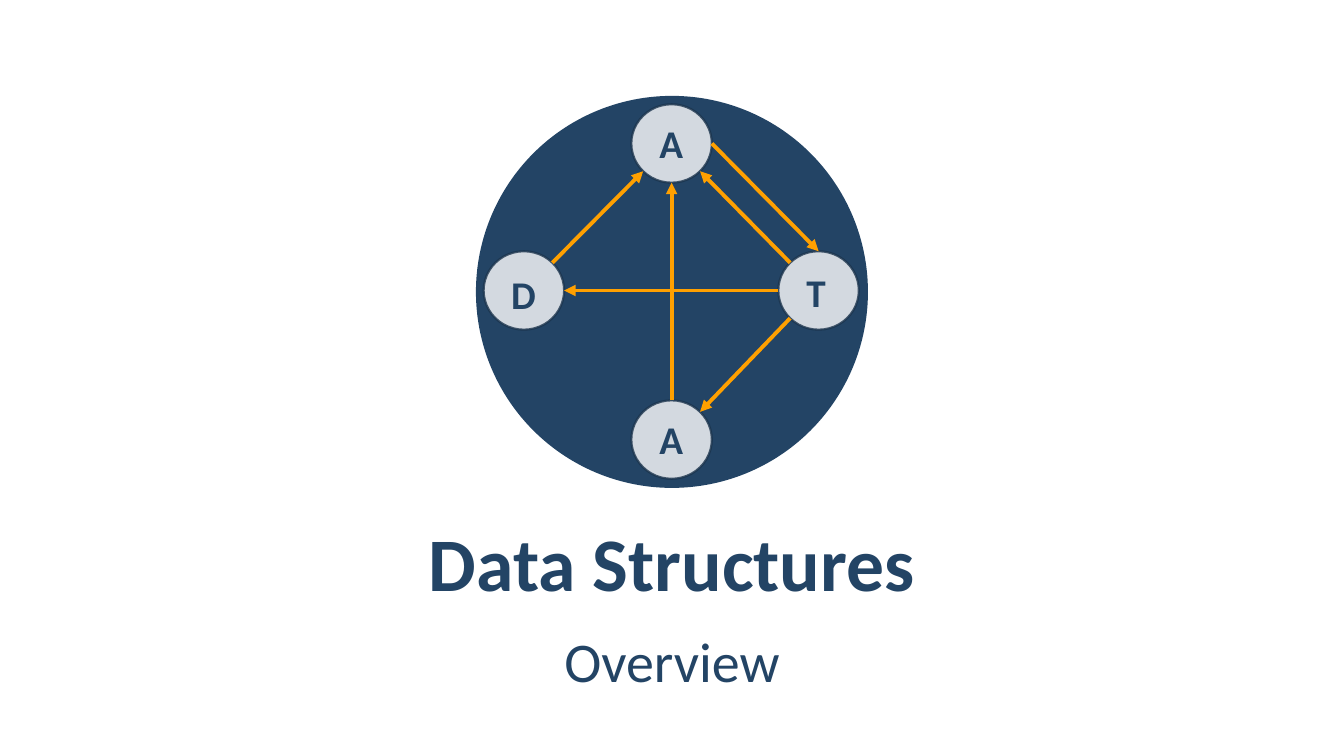
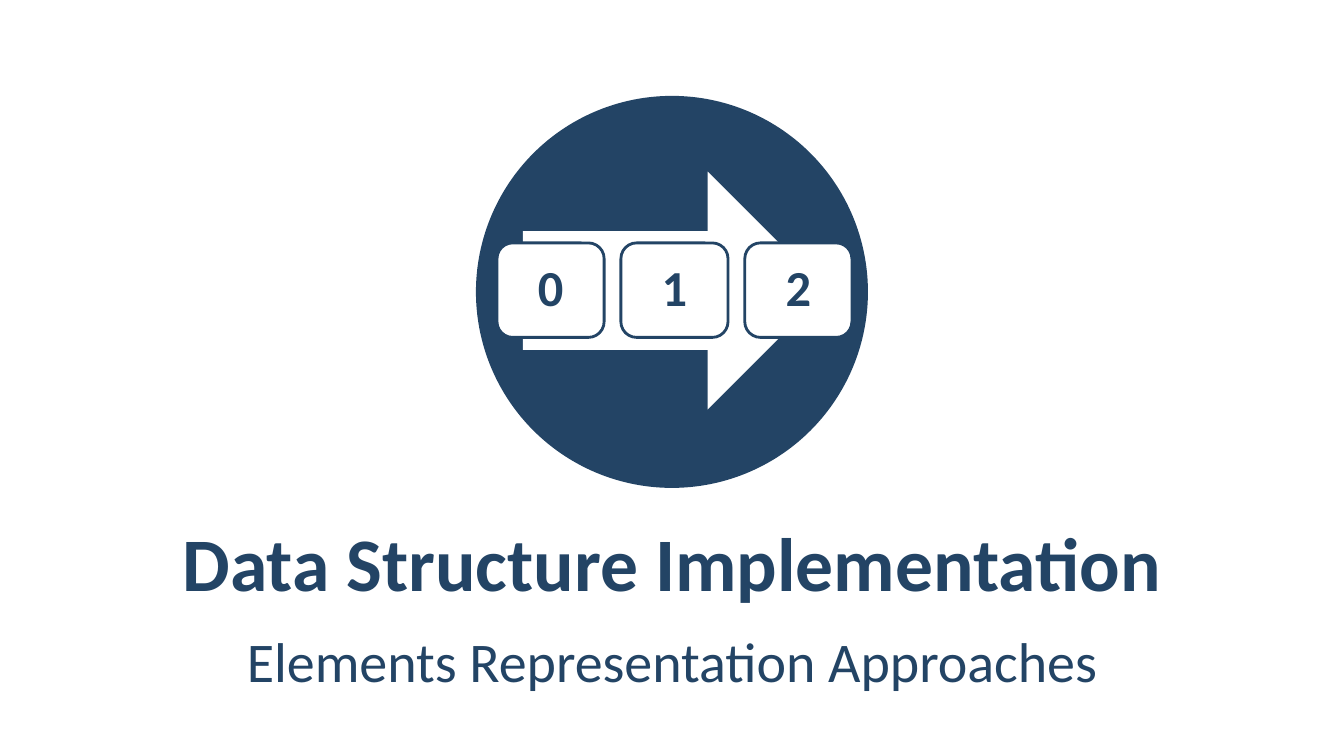
from math import cos, radians, sin

from lxml.etree import SubElement
from pptx import Presentation
from pptx.dml.color import RGBColor
from pptx.enum.shapes import MSO_CONNECTOR, MSO_SHAPE
from pptx.enum.text import MSO_ANCHOR, PP_ALIGN
from pptx.oxml.ns import qn
from pptx.util import Pt

COLORS = {"navy": "234465", "outline": "1A334C", "white": "FFFFFF", "amber": "FFA000"}
FONT = "Calibri"


def add_shape(page, kind, left, top, width, height, fill, line=None, line_width=1.5):
    shape = page.shapes.add_shape(kind, Pt(left), Pt(top), Pt(width), Pt(height))
    shape.shadow.inherit = False
    shape.fill.solid()
    shape.fill.fore_color.rgb = RGBColor.from_string(COLORS[fill])
    if line:
        shape.line.color.rgb = RGBColor.from_string(COLORS[line])
        shape.line.width = Pt(line_width)
    else:
        shape.line.fill.background()
    return shape


def set_text(box, text, size, bold=True, align=PP_ALIGN.CENTER, spacing=1.0,
             insets=(8.5, 3), wrap=True, anchor=MSO_ANCHOR.MIDDLE):
    """Fill box with one navy paragraph; insets are (sides, top and bottom)."""
    frame = box.text_frame
    frame.word_wrap = wrap
    frame.vertical_anchor = anchor
    frame.margin_left = frame.margin_right = Pt(insets[0])
    frame.margin_top = frame.margin_bottom = Pt(insets[1])
    para = frame.paragraphs[0]
    para.text = text
    para.alignment = align
    para.line_spacing = spacing
    para.font.name = FONT
    para.font.size = Pt(size)
    para.font.bold = bold
    para.font.color.rgb = RGBColor.from_string(COLORS["navy"])
    return para


deck = Presentation()
deck.slide_width, deck.slide_height = Pt(960), Pt(540)

# Shared frame: emblem circle, title, subtitle
pages = []
for title, subtitle in [
    ("Data Structures", "Overview"),
    ("Data Structure Implementation", "Elements Representation Approaches"),
]:
    page = deck.slides.add_slide(deck.slide_layouts[6])
    add_shape(page, MSO_SHAPE.OVAL, 340, 68.5, 280, 280, "navy")
    title_box = page.shapes.add_textbox(Pt(48), Pt(371), Pt(864), Pt(60))
    set_text(title_box, title, 54)
    subtitle_box = page.shapes.add_textbox(Pt(48), Pt(440), Pt(864), Pt(60))
    para = set_text(subtitle_box, subtitle, 40, bold=False, spacing=1.05)
    para.space_before = para.space_after = Pt(6)
    pages.append(page)
graph_page, array_page = pages

# Graph of four nodes: letter, left, top, and the label's offset from the node
NODE_WIDTH, NODE_HEIGHT = 57.5, 56
NODES = {
    "top": ("A", 451, 74.5, 8.5, -1),
    "left": ("D", 345.5, 179.5, 8, 2),
    "right": ("T", 556, 179.5, 8.5, 0),
    "bottom": ("A", 451, 286, 8.5, -1.5),
}
nodes = {}
for name, (letter, left, top, shift_x, shift_y) in NODES.items():
    node = add_shape(graph_page, MSO_SHAPE.OVAL, left, top, NODE_WIDTH, NODE_HEIGHT,
                     "white", "outline")
    for color in node._element.spPr.iter(qn("a:srgbClr")):
        SubElement(color, qn("a:alpha"), val="80000")
    nodes[name] = node
    label = graph_page.shapes.add_textbox(
        Pt(left + shift_x), Pt(top + shift_y), Pt(40.5), Pt(52.5))
    set_text(label, letter, 28, align=PP_ALIGN.LEFT, spacing=1.1,
             insets=(11.5, 8.5), wrap=False, anchor=MSO_ANCHOR.TOP)

# An oval's connection sites run counter-clockwise from the top in 45° steps
EDGES = [
    ("left", 7, "top", 3),
    ("top", 6, "right", 0),
    ("right", 3, "bottom", 7),
    ("bottom", 0, "top", 4),
    ("right", 2, "left", 6),
    ("right", 1, "top", 5),
]
for start, start_site, end, end_site in EDGES:
    points = []
    for name, site in [(start, start_site), (end, end_site)]:
        letter, left, top, shift_x, shift_y = NODES[name]
        angle = radians(90 + 45 * site)
        points += [Pt(left + NODE_WIDTH / 2 * (1 + cos(angle))),
                   Pt(top + NODE_HEIGHT / 2 * (1 - sin(angle)))]
    edge = graph_page.shapes.add_connector(MSO_CONNECTOR.STRAIGHT, *points)
    edge.line.color.rgb = RGBColor.from_string(COLORS["amber"])
    edge.line.width = Pt(2.75)
    SubElement(edge.line._get_or_add_ln(), qn("a:tailEnd"), type="triangle")
    SubElement(edge._element.spPr, qn("a:effectLst"))
    links = edge._element.nvCxnSpPr.cNvCxnSpPr
    for tag, name, site in [("a:stCxn", start, start_site), ("a:endCxn", end, end_site)]:
        SubElement(links, qn(tag), id=str(nodes[name].shape_id), idx=str(site))

# Array cells in front of an arrow
add_shape(array_page, MSO_SHAPE.RIGHT_ARROW, 373.5, 122.5, 217, 170, "white")
for index in range(3):
    cell = add_shape(array_page, MSO_SHAPE.ROUNDED_RECTANGLE, 355 + 88.5 * index, 173.5,
                     76.5, 67.5, "white", "navy", 2)
    set_text(cell, str(index), 36, spacing=0.9, insets=(11, 11))

deck.save("out.pptx")
